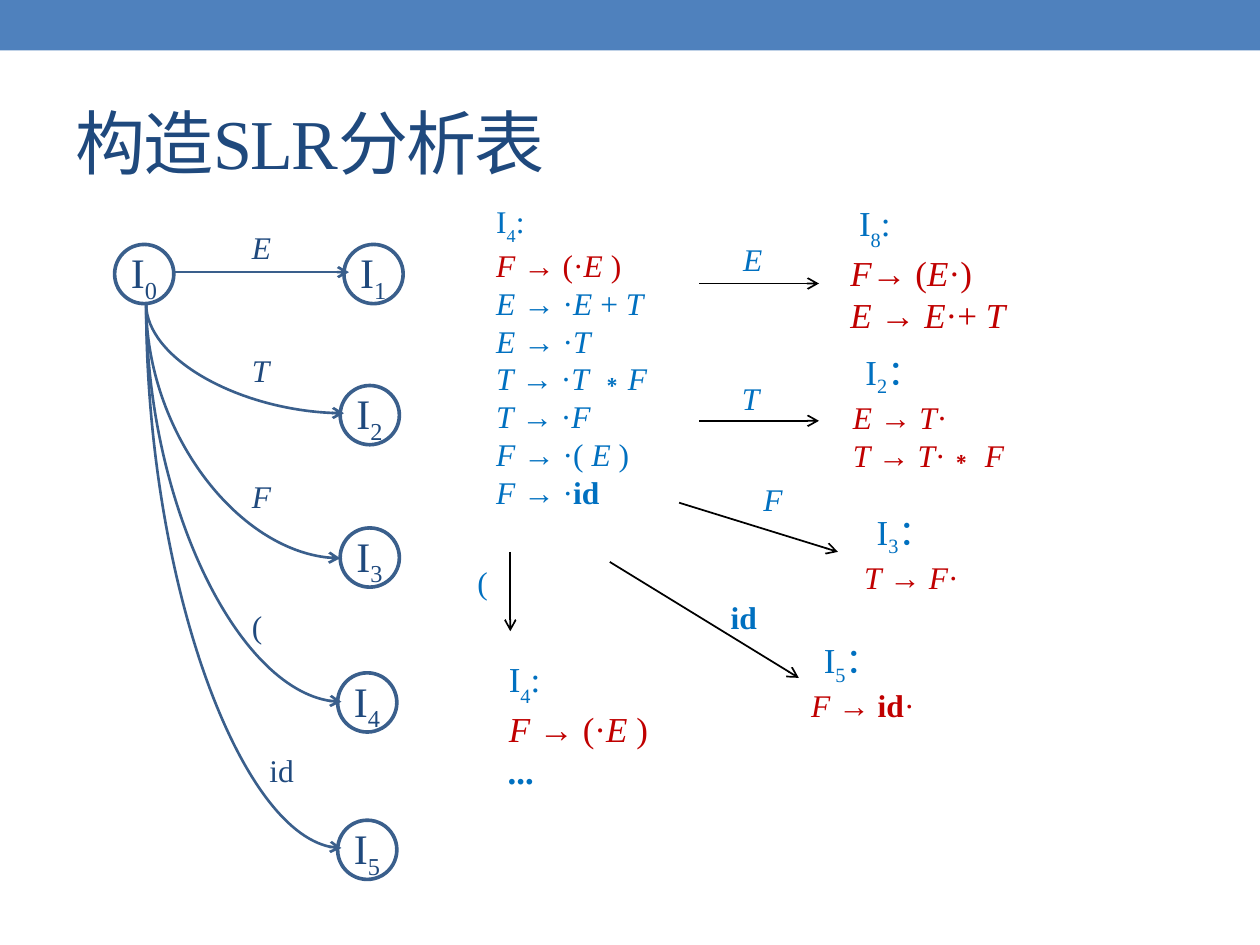
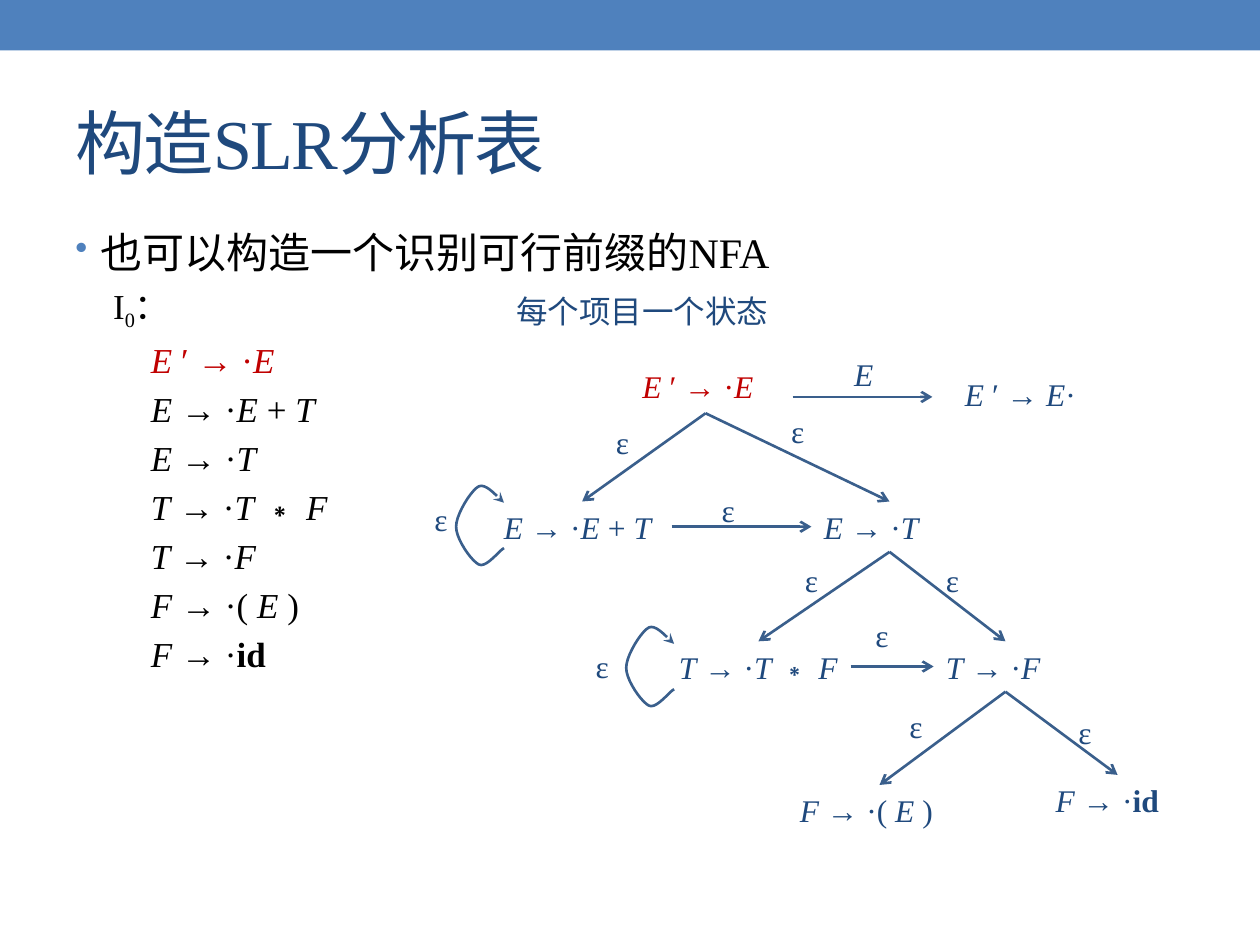
"""Build two slides on making an SLR parsing table."""
from dataclasses import dataclass
from typing import Iterator

from lxml import etree
from pptx import Presentation
from pptx.dml.color import RGBColor
from pptx.enum.shapes import MSO_CONNECTOR, MSO_SHAPE
from pptx.enum.text import MSO_ANCHOR, MSO_AUTO_SIZE, PP_ALIGN
from pptx.oxml.ns import qn
from pptx.util import Inches, Pt

STRAIGHT, CURVE = MSO_CONNECTOR.STRAIGHT, MSO_CONNECTOR.CURVE
RECT, OVAL = MSO_SHAPE.RECTANGLE, MSO_SHAPE.OVAL
TOP, MIDDLE = MSO_ANCHOR.TOP, MSO_ANCHOR.MIDDLE
LEFT = PP_ALIGN.LEFT
FIXED = MSO_AUTO_SIZE.NONE

COLORS = {
    "band": "4F81BD", "navy": "1F497D", "edge": "3A5F8C",
    "blue": "0070C0", "red": "C00000", "black": "000000",
}
FONT = "Times New Roman"
ITALIC, BOLD = "/", "^"
SUBS = {"_": "-25000", "~": "-30000"}
MARKS = {ITALIC, BOLD, *SUBS}
TITLE = "构造SLR分析表"
RULES = ["/E/ → ·/E /+ /T/", "/E/ → ·/T/", "/T/ → ·/T /∗/{}F/",
         "/T/ → ·/F/", "/F/ → ·( /E /)", "/F/ → ·^id^"]


@dataclass
class Line:
    """One paragraph with marks for italic, bold and subscript."""
    text: str
    color: str = "navy"
    size: int = 18
    indent: float = 0
    before: int = 0
    bullet: bool = False


@dataclass
class Box:
    """A text box with its lines."""
    x: float
    y: float
    w: float
    h: float
    lines: list[Line]
    anchor: int = TOP


@dataclass
class Arrow:
    """An arrow between two points."""
    x1: float
    y1: float
    x2: float
    y2: float
    color: str = "edge"
    width: float = 1.5


def shade(name: str) -> RGBColor:
    """Look up a colour."""
    return RGBColor.from_string(COLORS[name])


def spans(text: str) -> Iterator[tuple[str, set]]:
    """Split marked text into runs with the marks that apply."""
    live, part = set(), ""
    for char in text + ITALIC:
        if char not in MARKS:
            part += char
            continue
        if part:
            yield part, live
        live, part = live ^ {char}, ""


def add_dot(props) -> None:
    """Give a paragraph its coloured bullet."""
    props.set("indent", str(-Inches(0.2)))
    tint = etree.SubElement(props, qn("a:buClr"))
    etree.SubElement(tint, qn("a:srgbClr")).set("val", COLORS["band"])
    etree.SubElement(props, qn("a:buSzPct")).set("val", "85000")
    etree.SubElement(props, qn("a:buChar")).set("char", "•")


def write(frame, lines: list[Line], anchor: int = TOP) -> None:
    """Fill a text frame with styled lines."""
    form = {"word_wrap": True, "auto_size": FIXED, "vertical_anchor": anchor}
    for key, value in form.items():
        setattr(frame, key, value)
    for rank, line in enumerate(lines):
        para = frame.add_paragraph() if rank else frame.paragraphs[0]
        para.alignment = LEFT
        if line.before:
            para.space_before = Pt(line.before)
        props = para._p.get_or_add_pPr()
        props.set("marL", str(Inches(line.indent)))
        if line.bullet:
            add_dot(props)
        for text, live in spans(line.text):
            run = para.add_run()
            run.text = text
            look = {"name": FONT, "size": Pt(line.size),
                    "italic": ITALIC in live, "bold": BOLD in live}
            for key, value in look.items():
                setattr(run.font, key, value)
            run.font.color.rgb = shade(line.color)
            for mark in live & set(SUBS):
                run._r.get_or_add_rPr().set("baseline", SUBS[mark])


def add_box(slide, box: Box) -> None:
    """Draw a text box."""
    area = map(Inches, (box.x, box.y, box.w, box.h))
    write(slide.shapes.add_textbox(*area).text_frame, box.lines, box.anchor)


def set_tip(line, color: str, width: float, tip: str) -> None:
    """Style a line and put a tip on its end."""
    line.color.rgb = shade(color)
    line.width = Pt(width)
    etree.SubElement(line._get_or_add_ln(), qn("a:tailEnd")).set("type", tip)


def add_arrow(slide, arrow: Arrow, kind: int = STRAIGHT):
    """Draw an arrow and return it."""
    ends = map(Inches, (arrow.x1, arrow.y1, arrow.x2, arrow.y2))
    link = slide.shapes.add_connector(kind, *ends)
    set_tip(link.line, arrow.color, arrow.width, "arrow")
    etree.SubElement(link._element.spPr, qn("a:effectLst"))
    return link


def add_bend(slide, arrow: Arrow) -> None:
    """Draw a curve that leaves downward and arrives from the left."""
    link = add_arrow(slide, arrow, CURVE)
    wide, high = arrow.x2 - arrow.x1, arrow.y2 - arrow.y1
    place = {"left": (arrow.x1 + arrow.x2 - high) / 2,
             "top": (arrow.y1 + arrow.y2 - wide) / 2,
             "width": high, "height": wide}
    for key, value in place.items():
        setattr(link, key, Inches(value))
    props = link._element.spPr
    props.find(qn("a:prstGeom")).set("prst", "curvedConnector2")
    frame = props.find(qn("a:xfrm"))
    frame.set("rot", "5400000")
    frame.set("flipV", "1")


def add_loop(slide, x: float, y: float) -> None:
    """Draw a loop back to the state whose lower left start is given."""
    knots = [(0, 0), (-0.04, 0.02), (-0.14, 0.16), (-0.2, 0.13),
             (-0.26, 0.1), (-0.38, -0.07), (-0.38, -0.17),
             (-0.38, -0.27), (-0.26, -0.46), (-0.2, -0.49),
             (-0.14, -0.52), (-0.04, -0.39), (0, -0.36)]
    steps, dots = 10, []
    for first in range(0, len(knots) - 1, 3):
        for step in range(1, steps + 1):
            t = step / steps
            u = 1 - t
            parts = (u ** 3, 3 * u * u * t, 3 * u * t * t, t ** 3)
            arc = knots[first:first + 4]
            dx = sum(part * knot[0] for part, knot in zip(parts, arc))
            dy = sum(part * knot[1] for part, knot in zip(parts, arc))
            dots.append((Inches(x + dx), Inches(y + dy)))
    pen = slide.shapes.build_freeform(Inches(x), Inches(y))
    pen.add_line_segments(dots, close=False)
    loop = pen.convert_to_shape()
    loop.shadow.inherit = False
    loop.fill.background()
    set_tip(loop.line, "edge", 1.5, "stealth")


def add_state(slide, rank: int, x: float, y: float) -> None:
    """Draw a ringed state."""
    ring = slide.shapes.add_shape(OVAL, *map(Inches, (x, y, 0.47, 0.47)))
    ring.shadow.inherit = False
    ring.fill.background()
    ring.line.color.rgb = shade("edge")
    ring.line.width = Pt(2.08)
    name = Line(f"I_{rank}_", size=24)
    add_box(slide, Box(x + 0.03, y - 0.03, 0.44, 0.5, [name]))


def add_page(deck):
    """Add a slide with the shared title."""
    slide = deck.slides.add_slide(deck.slide_layouts[5])
    title = slide.shapes.title
    place = {"left": 0.5, "top": 0.58, "width": 9, "height": 1.08}
    for key, value in place.items():
        setattr(title, key, Inches(value))
    write(title.text_frame, [Line(TITLE, size=40)], MIDDLE)
    run = title.text_frame.paragraphs[0].runs[0]
    run._r.get_or_add_rPr().set("spc", "-100")
    return slide


def add_band(deck, slide) -> None:
    """Put the top band on the master."""
    band = slide.shapes.add_shape(RECT, 0, 0, deck.slide_width, Inches(0.4))
    band.shadow.inherit = False
    band.fill.solid()
    band.fill.fore_color.rgb = shade("band")
    band.line.fill.background()
    band._element.nvSpPr.cNvPr.id = 20
    deck.slide_master.shapes._spTree.append(band._element)


def draw_goto(slide) -> None:
    """Draw the item sets and the moves between them."""
    spots = [(0.91, 1.94), (2.73, 1.94), (2.7, 3.06),
             (2.7, 4.19), (2.68, 5.34), (2.68, 6.51)]
    for rank, (x, y) in enumerate(spots):
        add_state(slide, rank, x, y)
    add_arrow(slide, Arrow(1.38, 2.16, 2.77, 2.16))
    for x, y in [(2.73, 3.28), (2.7, 4.43), (2.71, 5.57), (2.71, 6.73)]:
        add_bend(slide, Arrow(1.16, 2.41, x, y))
    signs = [("/E/", 1.9, 1.76), ("/T/", 1.9, 2.74), ("/F/", 1.9, 3.74),
             ("(", 1.9, 4.77), ("id", 2.04, 5.91)]
    for text, x, y in signs:
        add_box(slide, Box(x, y, 0.54, 0.4, [Line(text)]))

    start = "/F/ → (·/E /)"
    rules = [Line(rule.format(""), "blue") for rule in RULES]
    sets = [
        Box(3.84, 1.55, 2.1, 2.52,
            [Line("I~4~:", "blue"), Line(start, "red"), *rules]),
        Box(6.65, 1.55, 2.1, 1.11,
            [Line("I~8~:", "blue", 20, 0.07), Line("/F/→ (/E/·)", "red", 20),
             Line("/E/ → /E/·+ /T/", "red", 20)]),
        Box(6.67, 2.73, 2.84, 1.04,
            [Line("I_2_：", "blue", 20, 0.1), Line("/E/ → /T/·", "red"),
             Line("/T/ → /T/·∗ /F/", "red")]),
        Box(6.76, 4, 2.84, 0.74,
            [Line("I_3_：", "blue", 20, 0.1), Line("/T/ → /F/·", "red")]),
        Box(6.34, 5.02, 2.84, 0.74,
            [Line("I_5_：", "blue", 20, 0.1), Line("/F/ → ^id^·", "red")]),
        Box(3.94, 5.17, 1.56, 1.11,
            [Line("I~4~:", "blue", 20), Line(start, "red", 20),
             Line("/^...^/", "blue", 20)]),
    ]
    for box in sets:
        add_box(slide, box)
    moves = [
        ("/E/", 5.8, 1.86, (5.55, 2.25, 6.5, 2.25)),
        ("/T/", 5.79, 2.96, (5.55, 3.34, 6.5, 3.34)),
        ("/F/", 5.96, 3.76, (5.39, 3.99, 6.65, 4.38)),
        ("^id^", 5.7, 4.7, (4.84, 4.46, 6.34, 5.38)),
        ("(", 3.69, 4.42, (4.05, 4.38, 4.05, 5.01)),
    ]
    for text, x, y, ends in moves:
        add_arrow(slide, Arrow(*ends, "black", 1))
        add_box(slide, Box(x, y, 0.46, 0.4, [Line(text, "blue")]))


def draw_nfa(slide) -> None:
    """Draw the item list and the NFA with one state per item."""
    first = "/E /′ → ·/E/"
    rules = [rule.format(" ") for rule in RULES]
    items = [Line(rule, "black", 20, 0.6, 4) for rule in rules]
    add_box(slide, Box(0.5, 1.75, 9, 5.33, [
        Line("也可以构造一个识别可行前缀的NFA", "black", 24, 0.2, bullet=True),
        Line("I_0_：", "black", 20, 0.3, 4),
        Line(first, "red", 20, 0.6, 4), *items]))
    add_box(slide, Box(4, 2.27, 3.21, 1.01, [
        Line("每个项目一个状态"), Line(first, "red", indent=1, before=21)]))

    spots = [(3.9, 3.98), (6.44, 3.98), (5.29, 5.09),
             (7.41, 5.09), (6.25, 6.23), (8.28, 6.15)]
    for rule, (x, y) in zip(rules, spots):
        add_box(slide, Box(x, y, 1.46, 0.4, [Line(rule)]))
    add_box(slide, Box(7.56, 2.93, 1.3, 0.4, [Line("/E /′ → /E/·")]))

    forks = [(5.6, 3.28, [(4.62, 3.98), (7.06, 3.98)]),
             (7.06, 4.38, [(6.02, 5.09), (7.98, 5.09)]),
             (7.98, 5.49, [(6.98, 6.23), (8.87, 6.15)])]
    for x, y, tips in forks:
        for tip in tips:
            add_arrow(slide, Arrow(x, y, *tip))
    for x1, x2, y in [(6.29, 7.4, 3.15), (5.33, 6.44, 4.18),
                      (6.75, 7.41, 5.29)]:
        add_arrow(slide, Arrow(x1, y, x2, y))
    for x, y in [(4, 4.35), (5.35, 5.47)]:
        add_loop(slide, x, y)

    marks = [(6.18, 3.24, 0.36), (4.79, 3.28, 0.45), (3.35, 3.85, 0.53),
             (5.63, 3.83, 0.43), (6.29, 4.34, 0.53), (7.41, 4.34, 0.53),
             (4.63, 5.02, 0.53), (6.85, 4.87, 0.34), (7.12, 5.59, 0.34),
             (8.46, 5.64, 0.34)]
    for x, y, high in marks:
        add_box(slide, Box(x, y, 0.36, high, [Line("ε")], MIDDLE))
    add_box(slide, Box(6.68, 2.7, 0.36, 0.53, [Line("/E/")], MIDDLE))


def main() -> None:
    """Build and save the deck."""
    deck = Presentation()
    deck.slide_width, deck.slide_height = Inches(10), Inches(7.5)
    pages = [add_page(deck), add_page(deck)]
    add_band(deck, pages[0])
    for draw, page in zip((draw_goto, draw_nfa), pages):
        draw(page)
    deck.save("out.pptx")


if __name__ == "__main__":
    main()
